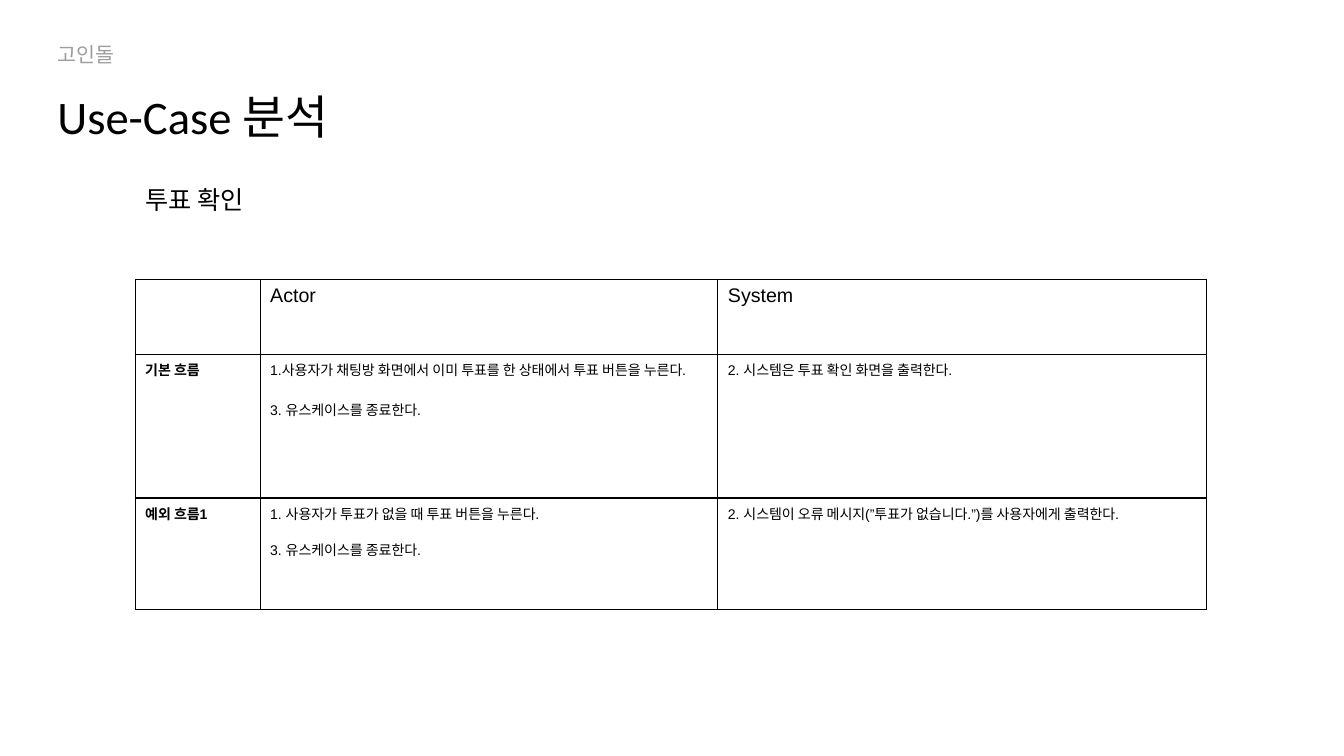
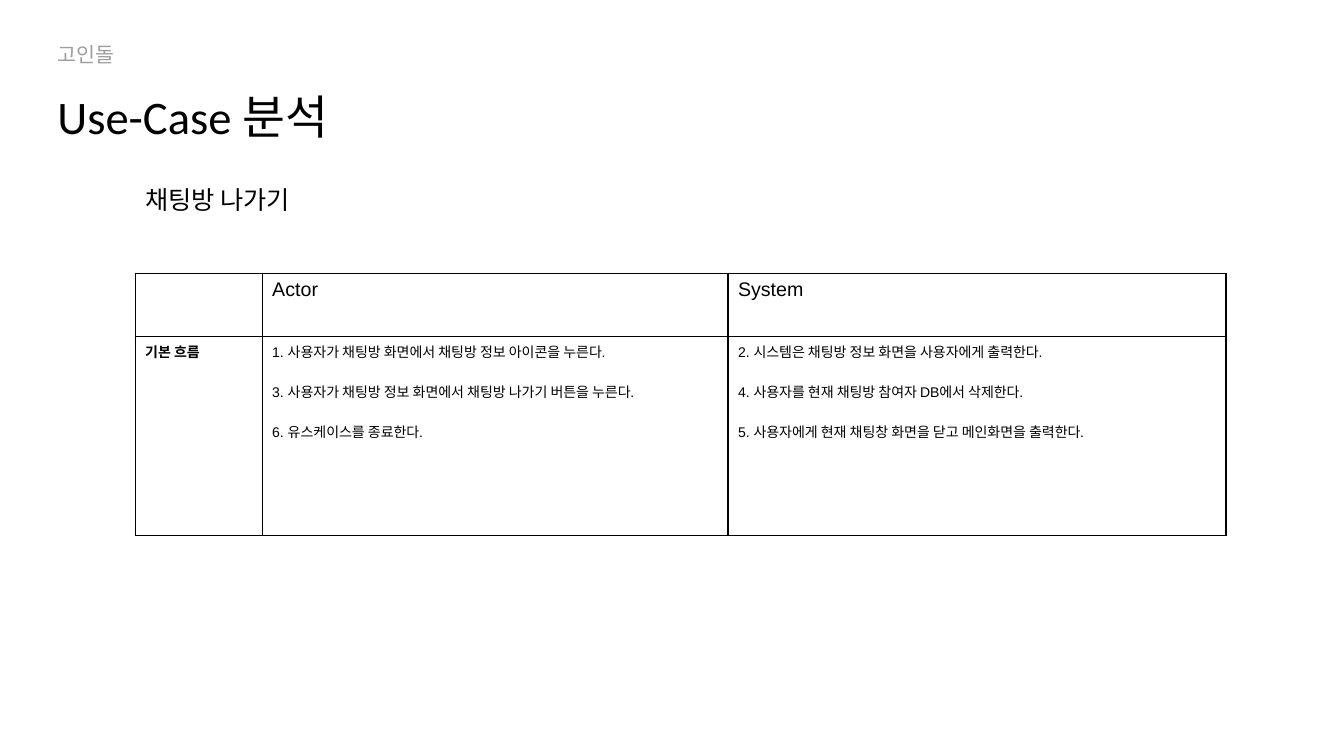
from lxml import etree
from pptx import Presentation
from pptx.dml.color import RGBColor
from pptx.enum.text import MSO_AUTO_SIZE
from pptx.oxml.ns import qn
from pptx.util import Inches, Pt

GROW = MSO_AUTO_SIZE.SHAPE_TO_FIT_TEXT
COLORS = {"ink": "000000", "team": "9E9E9E"}
HEADING_FONT, TABLE_FONT = "Calibri", "Arial"
HEADER_SIZE, STEP_SIZE = 14, 10
BORDER_WIDTH = 1
HEADER = ["", "Actor", "System"]

USE_CASES = [
    {
        "name": "투표 확인",
        "box": (1.34, 2.77),
        "columns": [1.24, 4.54, 4.85],
        "header_height": 0.75,
        "flows": [
            {
                "name": "기본 흐름",
                "height": 1.42,
                "gap": 14,
                "actor": [
                    "1.사용자가 채팅방 화면에서 이미 투표를 한 상태에서 투표 버튼을 누른다.",
                    "3. 유스케이스를 종료한다.",
                ],
                "system": ["2. 시스템은 투표 확인 화면을 출력한다."],
            },
            {
                "name": "예외 흐름1",
                "height": 1.11,
                "gap": 11.5,
                "actor": [
                    "1. 사용자가 투표가 없을 때 투표 버튼을 누른다.",
                    "3. 유스케이스를 종료한다.",
                ],
                "system": ["2. 시스템이 오류 메시지(”투표가 없습니다.”)를 사용자에게 출력한다."],
            },
        ],
    },
    {
        "name": "채팅방 나가기",
        "box": (1.34, 2.71),
        "columns": [1.26, 4.62, 4.94],
        "header_height": 0.63,
        "flows": [
            {
                "name": "기본 흐름",
                "height": 1.97,
                "gap": 14,
                "actor": [
                    "1. 사용자가 채팅방 화면에서 채팅방 정보 아이콘을 누른다.",
                    "3. 사용자가 채팅방 정보 화면에서 채팅방 나가기 버튼을 누른다.",
                    "6. 유스케이스를 종료한다.",
                ],
                "system": [
                    "2. 시스템은 채팅방 정보 화면을 사용자에게 출력한다.",
                    "4. 사용자를 현재 채팅방 참여자 DB에서 삭제한다.",
                    "5. 사용자에게 현재 채팅창 화면을 닫고 메인화면을 출력한다.",
                ],
            },
        ],
    },
]


def write_lines(frame, lines, font_name, size, color="ink", bold=False, gap=0):
    for index, line in enumerate(lines):
        para = frame.add_paragraph() if index else frame.paragraphs[0]
        para.text = line
        if index:
            para.space_before = Pt(gap)
        para.font.name = font_name
        para.font.size = Pt(size)
        para.font.bold = bold
        para.font.color.rgb = RGBColor.from_string(COLORS[color])


def add_heading(page, box, text, size, color="ink"):
    frame = page.shapes.add_textbox(*map(Inches, box)).text_frame
    frame.word_wrap = True
    frame.auto_size = GROW
    write_lines(frame, [text], HEADING_FONT, size, color)


def add_headings(page, use_case_name):
    add_heading(page, (0.47, 0.37, 2.83, 0.35), "고인돌", 14.7, "team")
    add_heading(page, (0.47, 0.82, 5.28, 0.66), "Use-Case 분석", 33.3)
    add_heading(page, (1.34, 1.78, 2.76, 0.41), use_case_name, 18)


def style_cell(cell):
    properties = cell._tc.get_or_add_tcPr()
    for side in ("a:lnL", "a:lnR", "a:lnT", "a:lnB"):
        line = etree.SubElement(properties, qn(side), w=str(Pt(BORDER_WIDTH)))
        fill = etree.SubElement(line, qn("a:solidFill"))
        etree.SubElement(fill, qn("a:srgbClr"), val=COLORS["ink"])
    cell.fill.background()


def add_flow_table(page, use_case):
    left, top = use_case["box"]
    columns, flows = use_case["columns"], use_case["flows"]
    heights = [use_case["header_height"]] + [flow["height"] for flow in flows]
    frame = page.shapes.add_table(
        len(heights), len(columns),
        Inches(left), Inches(top), Inches(sum(columns)), Inches(sum(heights)),
    )
    table = frame.table
    table.first_row = False
    table.horz_banding = False
    for column, width in zip(table.columns, columns):
        column.width = Inches(width)
    for row, height in zip(table.rows, heights):
        row.height = Inches(height)
    for cell in table.iter_cells():
        style_cell(cell)
    for column, label in enumerate(HEADER):
        write_lines(table.cell(0, column).text_frame, [label], TABLE_FONT, HEADER_SIZE)
    for row, flow in enumerate(flows, 1):
        contents = [[flow["name"]], flow["actor"], flow["system"]]
        for column, lines in enumerate(contents):
            write_lines(
                table.cell(row, column).text_frame, lines, TABLE_FONT, STEP_SIZE,
                bold=column == 0, gap=flow["gap"],
            )


def add_use_case_page(deck, use_case):
    page = deck.slides.add_slide(deck.slide_layouts[6])
    add_headings(page, use_case["name"])
    add_flow_table(page, use_case)


def main():
    deck = Presentation()
    deck.slide_width, deck.slide_height = Inches(13.33), Inches(7.5)
    for use_case in USE_CASES:
        add_use_case_page(deck, use_case)
    deck.save("out.pptx")


if __name__ == "__main__":
    main()
